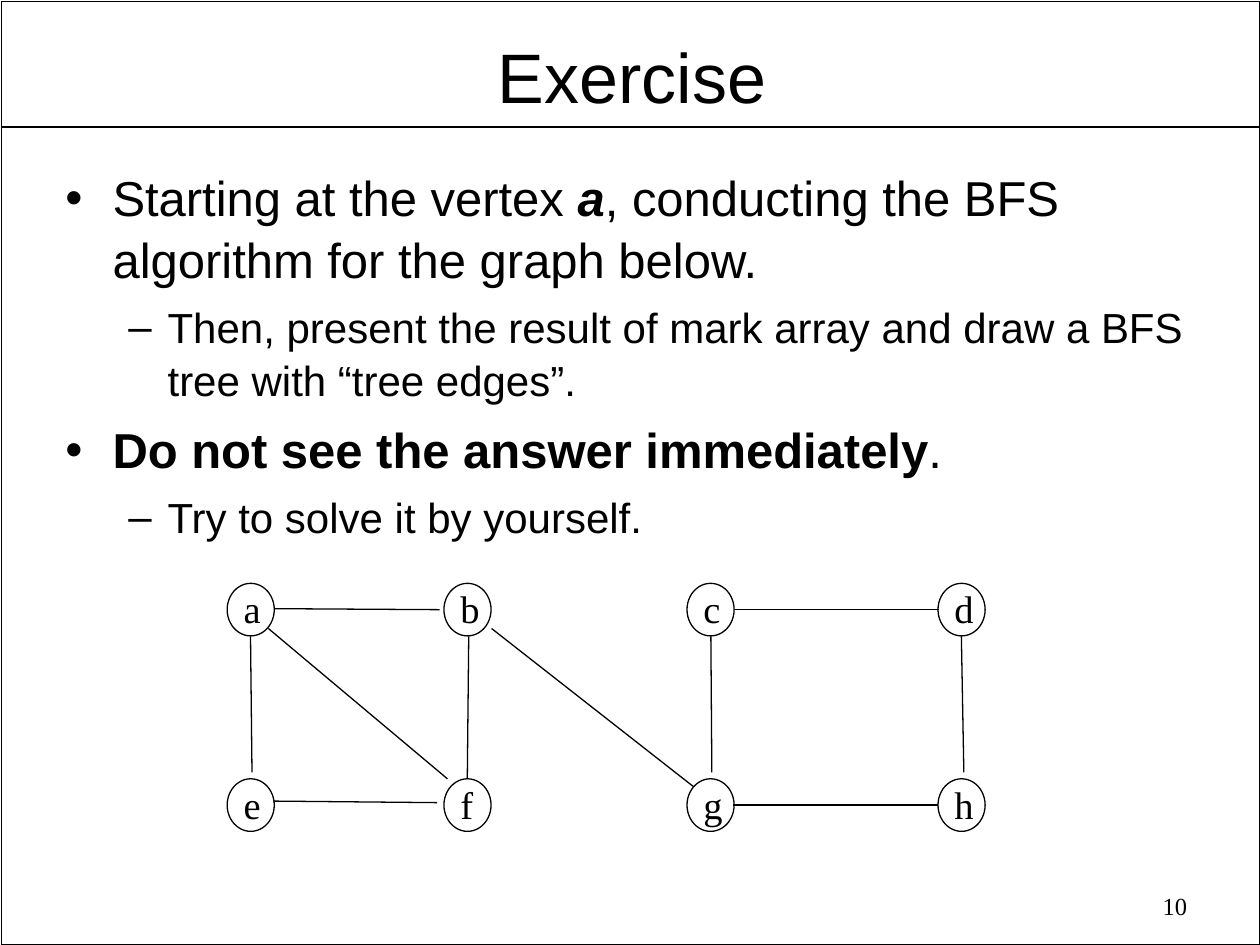
import pptx
import pptx.dml.color
import pptx.enum.shapes
import pptx.enum.text
import pptx.oxml.ns
import pptx.util
from lxml import etree
from pptx.util import Cm, Pt

BLACK = pptx.dml.color.RGBColor(0, 0, 0)
SANS = "Arial"
SERIF = "Times New Roman"
LINE_SPACING = 1.05
ALIGN = pptx.enum.text.PP_ALIGN
SHAPE = pptx.enum.shapes.MSO_SHAPE

NODE_WIDTH, NODE_HEIGHT = 0.95, 1.06
COLUMNS = (4.58, 8.95, 13.85, 18.91)
ROWS = ((11.76, "abcd"), (15.7, "efgh"))
EDGES = (
    (5.54, 12.27, 8.86, 12.29),
    (5.51, 16.15, 8.81, 16.18),
    (5.08, 15.57, 5.05, 12.83),
    (5.41, 12.67, 9.02, 15.7),
    (9.42, 15.7, 9.45, 12.83),
    (9.91, 12.67, 13.97, 15.85),
    (14.81, 12.29, 18.92, 12.29),
    (19.43, 15.57, 19.38, 12.83),
    (14.78, 16.23, 18.9, 16.23),
    (14.33, 12.83, 14.35, 15.57),
)

LEVELS = (
    {"bullet": "•", "size": 28, "before": 7, "left": 0.95, "hang": 0.95},
    {"bullet": "–", "size": 24, "before": 6, "left": 2.06, "hang": 0.79},
)
BODY = (
    (0, (("Starting at the vertex ", False, False), ("a", True, True),
         (", conducting the BFS algorithm for the graph below.", False, False))),
    (1, (("Then, present the result of mark array and draw a BFS tree "
          "with “tree edges”.", False, False),)),
    (0, (("Do not see the answer immediately", True, False), (".", False, False))),
    (1, (("Try to solve it by yourself.", False, False),)),
)


def style_span(span, font, size):
    span.font.name = font
    span.font.size = Pt(size)
    span.font.color.rgb = BLACK


def add_box(slide, left, top, width, height, wrap=True):
    box = slide.shapes.add_textbox(Cm(left), Cm(top), Cm(width), Cm(height))
    box.text_frame.word_wrap = wrap
    return box.text_frame


def add_label(slide, text, place, font, size, align=ALIGN.LEFT, wrap=True):
    frame = add_box(slide, *place, wrap=wrap)
    frame.text = text
    para = frame.paragraphs[0]
    para.alignment = align
    para.line_spacing = LINE_SPACING
    style_span(para.runs[0], font, size)
    return frame


def add_outline(slide, kind, left, top, width, height, weight):
    shape = slide.shapes.add_shape(kind, Cm(left), Cm(top), Cm(width), Cm(height))
    shape.shadow.inherit = False
    shape.fill.background()
    shape.line.color.rgb = BLACK
    shape.line.width = Pt(weight)


def add_line(slide, start_x, start_y, end_x, end_y, weight):
    line = slide.shapes.add_connector(
        pptx.enum.shapes.MSO_CONNECTOR.STRAIGHT,
        Cm(start_x), Cm(start_y), Cm(end_x), Cm(end_y))
    line.line.color.rgb = BLACK
    line.line.width = Pt(weight)
    etree.SubElement(line.element.spPr, pptx.oxml.ns.qn("a:effectLst"))


def set_bullet(para, level):
    properties = para.element.get_or_add_pPr() if hasattr(para, "element") else para._p.get_or_add_pPr()
    properties.set("marL", str(Cm(level["left"])))
    properties.set("indent", str(-Cm(level["hang"])))
    font = etree.SubElement(properties, pptx.oxml.ns.qn("a:buFont"))
    font.set("typeface", SANS)
    mark = etree.SubElement(properties, pptx.oxml.ns.qn("a:buChar"))
    mark.set("char", level["bullet"])


def add_body(slide):
    frame = add_box(slide, 1.07, 3.2, 23.29, 8.03)
    for index, (depth, pieces) in enumerate(BODY):
        level = LEVELS[depth]
        para = frame.add_paragraph() if index else frame.paragraphs[0]
        para.level = depth
        para.line_spacing = LINE_SPACING
        para.space_before = Pt(level["before"])
        set_bullet(para, level)
        for text, bold, italic in pieces:
            span = para.add_run()
            span.text = text
            style_span(span, SANS, level["size"])
            span.font.bold = bold
            span.font.italic = italic


def add_graph(slide):
    for top, names in ROWS:
        for left, name in zip(COLUMNS, names):
            add_outline(slide, SHAPE.OVAL, left, top, NODE_WIDTH, NODE_HEIGHT, 0.75)
            add_label(slide, name, (left + 0.08, top - 0.13, 0.86, 1.19),
                      SERIF, 22, wrap=False)
    for edge in EDGES:
        add_line(slide, *edge, weight=0.75)


def main():
    deck = pptx.Presentation()
    deck.slide_width, deck.slide_height = Cm(25.4), Cm(19.05)
    slide = deck.slides.add_slide(deck.slide_layouts[6])
    add_outline(slide, SHAPE.RECTANGLE, 0.03, 0.03, 25.37, 19.02, 1)
    add_line(slide, 0.03, 2.56, 25.37, 2.56, 1)
    title = add_label(slide, "Exercise", (1.35, 0.48, 22.78, 1.83),
                      SANS, 40, ALIGN.CENTER)
    title.margin_top, title.margin_bottom = Cm(0.12), Cm(0.08)
    add_body(slide)
    add_label(slide, "10", (18.24, 17.81, 5.94, 0.91), SERIF, 14, ALIGN.RIGHT)
    add_graph(slide)
    deck.save("out.pptx")


if __name__ == "__main__":
    main()
